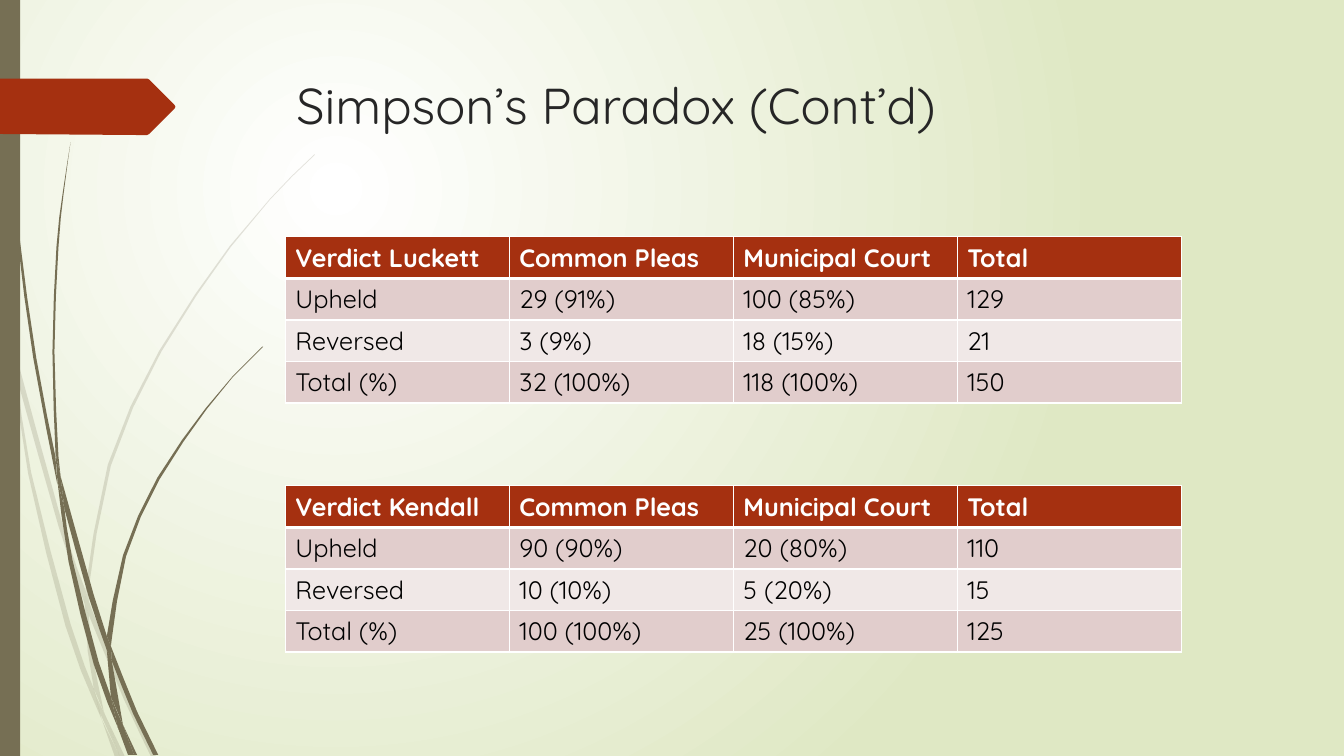
from dataclasses import dataclass

from lxml.etree import SubElement
from pptx import Presentation
from pptx.dml.color import RGBColor
from pptx.oxml.ns import qn
from pptx.enum.shapes import MSO_SHAPE as Shape
from pptx.util import Emu, Pt

CELL = 914400  # the slide is a grid of square cells
COLS, ROWS = 13.33, 7.5
FONT = "Quicksand"
OLIVE, RUST, WHITE, INK, BLACK = "766F54", "A53010", "FFFFFF", "262626", "000000"
BANDS = ("E1CDCC", "F0E8E7")
Edge = tuple[tuple[float, float], ...]


@dataclass(frozen=True)
class Blade:
    """A piece of grass, bounded by two smooth edges."""
    there: Edge
    back: Edge


@dataclass(frozen=True)
class CourtTable:
    """The verdicts of one judge."""
    top: float
    rows: tuple[tuple[str, ...], ...]


PALE_GRASS = (
    Blade(((0, 2.82), (0.09, 3.22), (0.11, 3.5)), ((0.1, 3.44), (0, 2.99))),
    Blade(((0.14, 3.45), (0.62, 5.2), (0.85, 5.86)),
          ((0.84, 5.99), (0.58, 5.22), (0.17, 3.76))),
    Blade(((0.88, 5.96), (0.92, 6.07), (1.27, 6.92), (1.55, 7.51)),
          ((1.5, 7.51), (1.23, 6.94), (0.88, 6.1))),
    Blade(((1.05, 7.11), (1.24, 7.51)), ((1.19, 7.51),)),
    Blade(((0.11, 3.5), (0.28, 4.7), (0.65, 6.21), (0.92, 6.93), (1.01, 7.14)),
          ((0.93, 6.83), (0.7, 6.19), (0.31, 4.69), (0.17, 3.76))),
    Blade(((0.84, 5.99), (0.87, 6.46), (0.93, 6.83), (1.05, 7.11)),
          ((1.03, 7.06), (0.91, 6.46), (0.88, 6.1))),
    Blade(((0.88, 5.96), (0.88, 5.84), (1.1, 4.62), (1.6, 3.49), (2.29, 2.45),
           (2.68, 1.98), (2.9, 1.75), (3.12, 1.54)),
          ((3.12, 1.53), (2.89, 1.75), (2.68, 1.97), (2.28, 2.44), (1.58, 3.48),
           (1.07, 4.61), (0.85, 5.84))),
    Blade(((1.01, 7.14), (1.14, 7.51)), ((1.19, 7.51),)),
    Blade(((0.88, 6.1), (0.88, 5.96), (0.85, 5.86)), ((0.84, 5.99),)),
    Blade(((0.93, 6.83), (0.99, 7.07), (1.19, 7.51)), ((1.05, 7.11), (0.96, 6.92))),
)
DARK_GRASS = (
    Blade(((0.03, 0), (0.04, 0.48), (0.07, 1.1), (0.17, 2.33), (0.33, 3.55), (0.57, 4.81)),
          ((0.55, 4.53), (0.36, 3.55), (0.19, 2.32), (0.08, 1.09), (0.05, 0.48), (0.04, 0))),
    Blade(((0.6, 4.72), (0.93, 5.9), (1.06, 6.31)),
          ((1.06, 6.45), (0.88, 5.92), (0.64, 5.05))),
    Blade(((1.1, 6.41), (1.36, 7.06), (1.57, 7.49)),
          ((1.52, 7.49), (1.32, 7.08), (1.11, 6.56))),
    Blade(((0.57, 4.77), (0.68, 5.57), (0.93, 6.59), (1.17, 7.22)),
          ((1.1, 6.91), (0.98, 6.57), (0.72, 5.56), (0.64, 5.05))),
    Blade(((0.6, 4.72), (0.58, 4.53), (0.54, 3.49), (0.58, 2.45), (0.63, 1.93), (0.7, 1.41)),
          ((0.7, 1.41), (0.62, 1.93), (0.56, 2.45), (0.52, 3.49), (0.55, 4.49))),
    Blade(((1.22, 7.19), (1.36, 7.49)), ((1.33, 7.49),)),
    Blade(((0.55, 4.49), (0.57, 4.77), (0.64, 5.05)), ((0.6, 4.72),)),
    Blade(((1.1, 6.41), (1.11, 6.33), (1.25, 5.52), (1.58, 4.76), (2.05, 4.06),
           (2.31, 3.74), (2.61, 3.44)),
          ((2.6, 3.44), (2.31, 3.73), (2.04, 4.05), (1.56, 4.74), (1.22, 5.51),
           (1.06, 6.31))),
    Blade(((1.17, 7.22), (1.27, 7.49)), ((1.31, 7.49),)),
    Blade(((1.06, 6.45), (1.1, 6.91), (1.22, 7.19)), ((1.11, 6.56), (1.09, 6.51))),
    Blade(((1.06, 6.31), (1.06, 6.45), (1.11, 6.56)), ((1.1, 6.41),)),
    Blade(((1.1, 6.91), (1.17, 7.22), (1.3, 7.49)),
          ((1.33, 7.49), (1.22, 7.19), (1.16, 7.06))),
)
ARROW = ((0, 0.78), (1.46, 0.78), (1.48, 0.79), (1.73, 1.04), (1.74, 1.06),
         (1.73, 1.08), (1.48, 1.33), (1.46, 1.34), (1.36, 1.34), (0, 1.33))
COURTS = ("Common Pleas", "Municipal Court", "Total")
TABLES = (
    CourtTable(2.35, (("Verdict Luckett", *COURTS),
                      ("Upheld", "29 (91%)", "100 (85%)", "129"),
                      ("Reversed", "3 (9%)", "18 (15%)", "21"),
                      ("Total (%)", "32 (100%)", "118 (100%)", "150"))),
    CourtTable(4.82, (("Verdict Kendall", *COURTS),
                      ("Upheld", "90 (90%)", "20 (80%)", "110"),
                      ("Reversed", "10 (10%)", "5 (20%)", "15"),
                      ("Total (%)", "100 (100%)", "25 (100%)", "125"))),
)


def grid(cells: float) -> Emu:
    """Turn grid cells into a length."""
    return Emu(round(cells * CELL))


def rgb(color: str) -> RGBColor:
    """Turn a hex string into a colour."""
    return RGBColor.from_string(color)


def paint(sp, color: str, alpha: int = 100) -> None:
    """Fill a shape, with no line and no shadow."""
    sp.shadow.inherit = False
    sp.fill.solid()
    sp.fill.fore_color.rgb = rgb(color)
    sp.line.fill.background()
    if alpha < 100:
        clr = sp._element.spPr.find(qn("a:solidFill"))[0]
        SubElement(clr, qn("a:alpha"), val=str(alpha * 1000))


def smooth(edge: Edge) -> list[tuple[float, float]]:
    """Add the midpoint of a Catmull-Rom curve to each long span of an edge."""
    ends = (edge[0], *edge, edge[-1])
    curve = [edge[0]]
    for a, b, c, d in zip(ends, ends[1:], ends[2:], ends[3:]):
        if abs(c[1] - b[1]) > 0.5:
            curve.append(tuple((9 * (q + r) - p - u) / 16
                               for p, q, r, u in zip(a, b, c, d)))
        curve.append(c)
    return curve


def add_outline(s, points, color: str, alpha: int = 100) -> None:
    """Draw a filled closed outline."""
    first, *rest = [(grid(x), grid(y)) for x, y in points]
    builder = s.shapes.build_freeform(*first, scale=1.0)
    builder.add_line_segments(rest, close=True)
    paint(builder.convert_to_shape(), color, alpha)


def style_text(tf, size: int, color: str, bold: bool = False) -> None:
    """Format all runs of a text frame."""
    for p in tf.paragraphs:
        for r in p.runs:
            r.font.name, r.font.size, r.font.bold = FONT, Pt(size), bold
            r.font.color.rgb = rgb(color)


def add_border(cell, side: str, width: float) -> None:
    """Give one side of a cell a white line."""
    ln = SubElement(cell._tc.get_or_add_tcPr(), qn(f"a:ln{side}"), w=str(Pt(width)))
    SubElement(SubElement(ln, qn("a:solidFill")), qn("a:srgbClr"), val=WHITE)


def add_court_table(s, court: CourtTable) -> None:
    """Draw one verdict table."""
    n_rows, n_cols = len(court.rows), len(court.rows[0])
    table = s.shapes.add_table(n_rows, n_cols, grid(2.83), grid(court.top),
                               grid(n_cols * COLS / 6), grid(1.65)).table
    table.horz_banding = False
    for i, row in enumerate(court.rows):
        for j, text in enumerate(row):
            cell, header = table.cell(i, j), i == 0
            cell.text_frame.text = text
            style_text(cell.text_frame, 18, WHITE if header else BLACK, header)
            for side, width in (("L", 1), ("R", 1), ("T", 3 if i == 1 else 1),
                                ("B", 3 if header else 1)):
                add_border(cell, side, width)
            cell.fill.solid()
            cell.fill.fore_color.rgb = rgb(RUST if header else BANDS[(i - 1) % 2])


def set_background(s) -> None:
    """Spread a round gradient from the upper left of the slide."""
    fill = s.background.fill
    fill.gradient()
    for stop, color in zip(fill.gradient_stops, (WHITE, "DFE8C4")):
        stop.color.rgb = rgb(color)
    grad = s._element.find(".//" + qn("a:gradFill"))
    grad.remove(grad.find(qn("a:lin")))
    circle = SubElement(grad, qn("a:path"), path="circle")
    SubElement(circle, qn("a:fillToRect"), l="50000", t="50000", r="100000", b="100000")


def main() -> None:
    """Build the slide and save it."""
    prs = Presentation()
    prs.slide_width, prs.slide_height = grid(COLS), grid(ROWS)
    s = prs.slides.add_slide(prs.slide_layouts[6])
    set_background(s)
    for blades, alpha in ((PALE_GRASS, 20), (DARK_GRASS, 100)):
        for blade in blades:
            add_outline(s, smooth(blade.there) + smooth(blade.back), OLIVE, alpha)
    paint(s.shapes.add_shape(Shape.RECTANGLE, 0, 0, grid(0.2), grid(ROWS)), OLIVE)
    add_outline(s, ARROW, RUST)
    tf = s.shapes.add_textbox(grid(2.84), grid(0.69), grid(9.75), grid(1.4)).text_frame
    tf.word_wrap = True
    tf.text = "Simpson’s Paradox (Cont’d)"
    style_text(tf, 36, INK)
    for court in TABLES:
        add_court_table(s, court)
    prs.save("out.pptx")


main()
